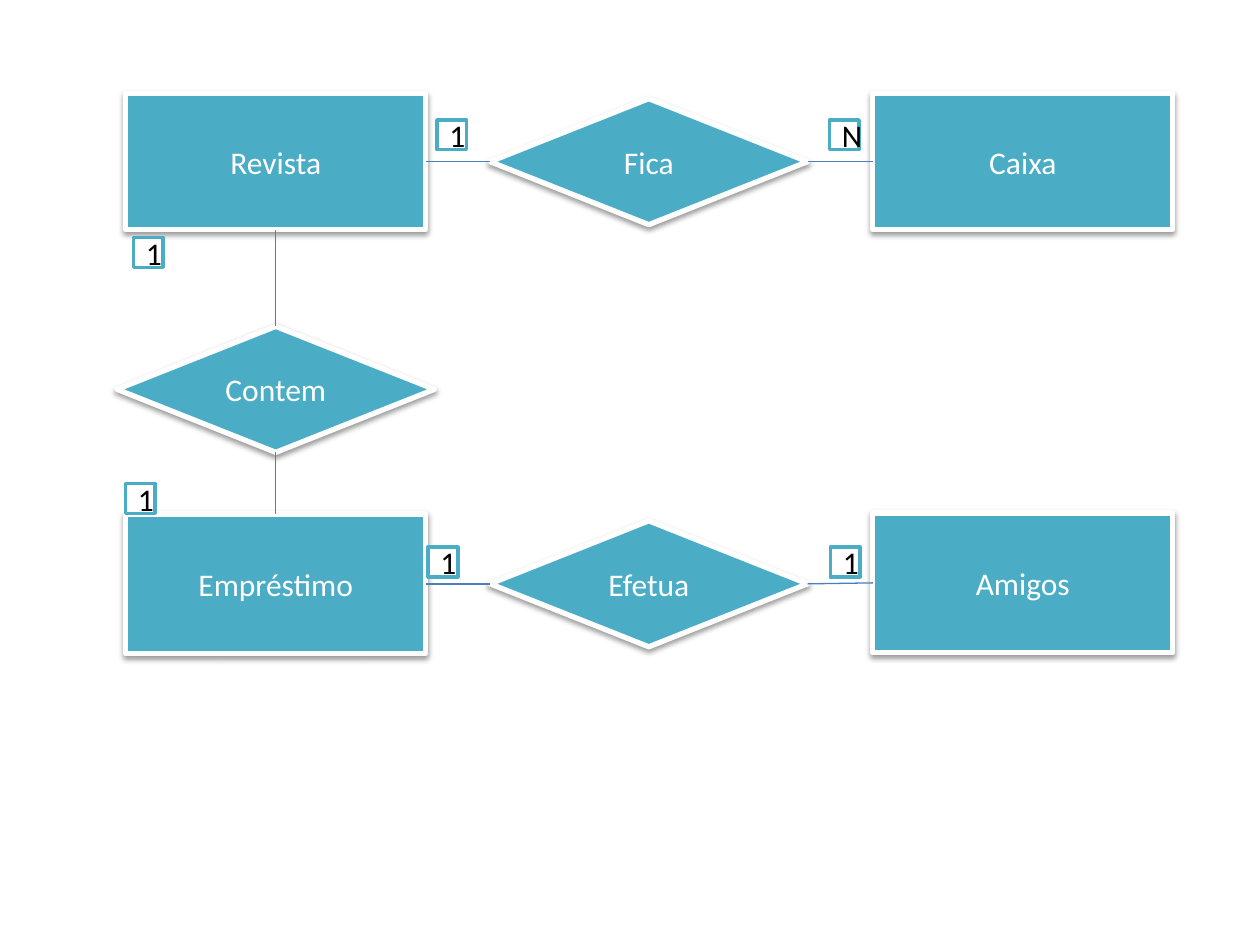
from lxml.etree import SubElement
from pptx import Presentation
from pptx.dml.color import RGBColor
from pptx.enum.shapes import MSO_CONNECTOR, MSO_SHAPE
from pptx.enum.text import MSO_ANCHOR, PP_ALIGN
from pptx.oxml.ns import qn
from pptx.util import Cm, Pt

TEAL, WHITE, BLACK, BLUE = "4BACC6", "FFFFFF", "000000", "4B7EBC"
TOP, LEFT, BOTTOM, RIGHT = range(4)

# Centres of the three columns, in cm
COL_A, COL_B, COL_C = 5.56, 13.08, 20.62

# Name, centre x, centre y, height
ENTITIES = [
    ("Revista", COL_A, 3.26, 2.74),
    ("Empréstimo", COL_A, 11.77, 2.82),
    ("Amigos", COL_C, 11.75, 2.82),
    ("Caixa", COL_C, 3.26, 2.74),
]
# Name, centre x, centre y
RELATIONS = [
    ("Fica", COL_B, 3.26),
    ("Contem", COL_A, 7.85),
    ("Efetua", COL_B, 11.77),
]
# Text, left, top
COUNTS = [
    ("1", 2.53, 9.75),
    ("1", 2.69, 4.79),
    ("1", 8.81, 2.42),
    ("N", 16.72, 2.42),
    ("1", 8.63, 11.03),
    ("1", 16.74, 11.03),
]
# From, side, to, side
LINKS = [
    ("Revista", RIGHT, "Fica", LEFT),
    ("Caixa", LEFT, "Fica", RIGHT),
    ("Revista", BOTTOM, "Contem", TOP),
    ("Contem", BOTTOM, "Empréstimo", TOP),
    ("Amigos", LEFT, "Efetua", RIGHT),
    ("Empréstimo", RIGHT, "Efetua", LEFT),
]
BOX_W, GEM_W, GEM_H, TAG = 6.05, 6.4, 2.54, 0.6


def color(code):
    return RGBColor.from_string(code)


def add_node(slide, kind, text, place, fill, edge, width, ink):
    """Draw a filled, outlined shape with centred text; place is in cm."""
    node = slide.shapes.add_shape(kind, *map(Cm, place))
    node.fill.solid()
    node.fill.fore_color.rgb = color(fill)
    node.line.color.rgb = color(edge)
    node.line.width = Pt(width)
    node.shadow.inherit = False
    frame = node.text_frame
    frame.word_wrap = True
    frame.vertical_anchor = MSO_ANCHOR.MIDDLE
    par = frame.paragraphs[0]
    par.alignment = PP_ALIGN.CENTER
    run = par.add_run()
    run.text = text
    run.font.name = "Calibri"
    run.font.size = Pt(18)
    run.font.color.rgb = color(ink)
    return node


def add_shadow(node):
    effects = node._element.spPr.find(qn("a:effectLst"))
    shadow = SubElement(effects, qn("a:outerShdw"), blurRad="40000",
                        dist="20000", dir="5400000", rotWithShape="0")
    tint = SubElement(shadow, qn("a:srgbClr"), val=BLACK)
    SubElement(tint, qn("a:alpha"), val="38000")


def add_link(slide, start, side, end, end_side):
    link = slide.shapes.add_connector(MSO_CONNECTOR.STRAIGHT, 0, 0, 0, 0)
    link.begin_connect(start, side)
    link.end_connect(end, end_side)
    link.line.color.rgb = color(BLUE)
    link.line.width = Pt(0.75)
    SubElement(link._element.spPr, qn("a:effectLst"))


def main():
    deck = Presentation()
    deck.slide_width, deck.slide_height = Cm(25.4), Cm(19.05)
    slide = deck.slides.add_slide(deck.slide_layouts[6])

    parts = [(MSO_SHAPE.RECTANGLE, name, x, y, BOX_W, high)
             for name, x, y, high in ENTITIES]
    parts += [(MSO_SHAPE.DIAMOND, name, x, y, GEM_W, GEM_H)
              for name, x, y in RELATIONS]
    nodes = {}
    for kind, name, x, y, wide, high in parts:
        place = (x - wide / 2, y - high / 2, wide, high)
        nodes[name] = add_node(slide, kind, name, place, TEAL, WHITE, 3, WHITE)
        add_shadow(nodes[name])

    for text, left, top in COUNTS:
        add_node(slide, MSO_SHAPE.RECTANGLE, text, (left, top, TAG, TAG),
                 WHITE, TEAL, 2, BLACK)

    for start, side, end, end_side in LINKS:
        add_link(slide, nodes[start], side, nodes[end], end_side)

    deck.save("out.pptx")


if __name__ == "__main__":
    main()
